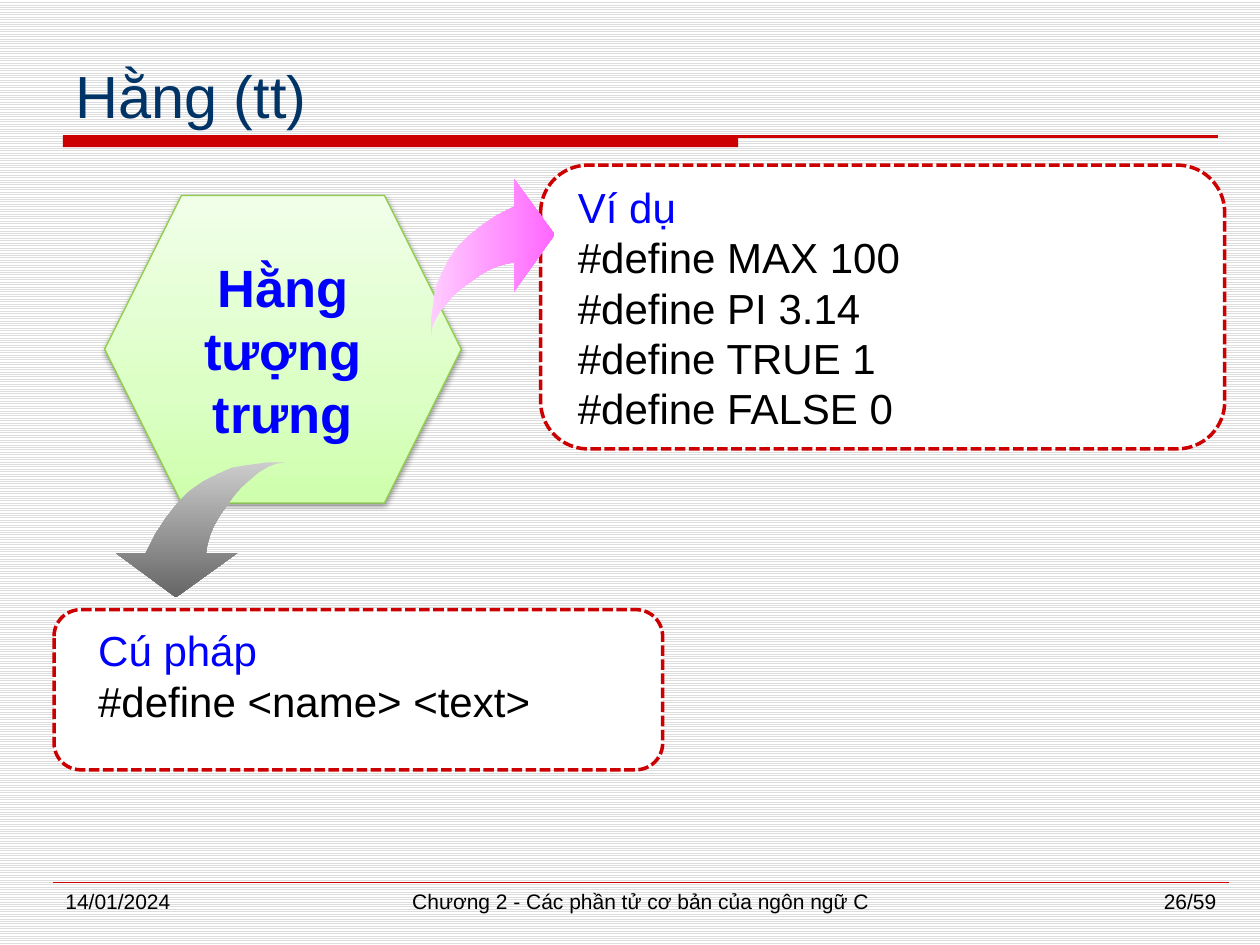
from lxml import etree
from pptx import Presentation
from pptx.dml.color import RGBColor
from pptx.enum.dml import MSO_LINE, MSO_PATTERN
from pptx.enum.shapes import MSO_CONNECTOR, MSO_SHAPE
from pptx.enum.text import MSO_ANCHOR, PP_ALIGN
from pptx.oxml.ns import qn
from pptx.util import Cm, Pt

LEFT, CENTER, RIGHT = PP_ALIGN.LEFT, PP_ALIGN.CENTER, PP_ALIGN.RIGHT
TOP, MIDDLE, BOTTOM = MSO_ANCHOR.TOP, MSO_ANCHOR.MIDDLE, MSO_ANCHOR.BOTTOM
HEXAGON, ROUNDED, RECTANGLE = (
    MSO_SHAPE.HEXAGON, MSO_SHAPE.ROUNDED_RECTANGLE, MSO_SHAPE.RECTANGLE)
STRAIGHT = MSO_CONNECTOR.STRAIGHT

COLORS = {
    "paper": "FFFFFF", "stripe": "DDDDDD", "red": "CC0000", "navy": "003366",
    "blue": "0000FF", "black": "000000", "green line": "8FCF4B",
}
GREEN = [(0, "CEFFAC"), (35, "DBFFC4"), (100, "F1FFE9")]
PINK = [(0, "FFCCFF"), (100, "FF66FF")]
GRAY = [(0, "CCCCCC"), (100, "666666")]

TITLE = {"size": Pt(34), "name": "Arial"}
LABEL = {"size": Pt(30), "name": "Arial", "bold": True}
BODY = {"size": Pt(24), "name": "Arial"}
SMALL = {"size": Pt(12), "name": "Arial"}

# Curved arrow outline: steps from the tail towards the tip, and sideways
ARROW = [
    (0, 0), (0, 14), (2, 28), (4, 40), (9, 51), (14, 61), (21, 71), (30, 80),
    (40, 88), (52, 96), (66, 103), (66, 125), (98, 81), (66, 36), (66, 59),
    (60, 58), (53, 56), (46, 53), (39, 49), (32, 44), (25, 39), (18, 33),
    (12, 26), (7, 20), (3, 13), (1, 7),
]
ARROW_LENGTH, ARROW_SPREAD = 98, 125


def color(name):
    return RGBColor.from_string(COLORS[name])


def write(frame, lines, style, align=LEFT, anchor=TOP):
    """Fill a text frame with (text, colour) lines."""
    frame.word_wrap = True
    frame.vertical_anchor = anchor
    for index, (text, tint) in enumerate(lines):
        para = frame.add_paragraph() if index else frame.paragraphs[0]
        para.alignment = align
        span = para.add_run()
        span.text = text
        for key, value in style.items():
            setattr(span.font, key, value)
        span.font.color.rgb = color(tint)


def add_text(page, box, lines, style, align=LEFT, anchor=TOP):
    frame = page.shapes.add_textbox(*map(Cm, box)).text_frame
    write(frame, lines, style, align, anchor)


def add_rule(page, left, right, y, width):
    rule = page.shapes.add_connector(
        STRAIGHT, Cm(left), Cm(y), Cm(right), Cm(y))
    rule.line.color.rgb = color("red")
    rule.line.width = Pt(width)
    etree.SubElement(rule._element.spPr, qn("a:effectLst"))


def add_gradient(shape, stops, angle):
    shape.fill.gradient()
    shape.fill.gradient_angle = angle
    stop_list = shape._element.spPr.find(".//" + qn("a:gsLst"))
    for old in list(stop_list):
        stop_list.remove(old)
    for place, tint in stops:
        stop = etree.SubElement(stop_list, qn("a:gs"), pos=str(place * 1000))
        etree.SubElement(stop, qn("a:srgbClr"), val=tint)


def add_background(page):
    fill = page.background.fill
    fill.patterned()
    fill.pattern = MSO_PATTERN.LIGHT_HORIZONTAL
    fill.fore_color.rgb = color("stripe")
    fill.back_color.rgb = color("paper")


def add_header(page, box, title):
    left, top, width, height = box
    bottom = top + height
    # Thick bar under a thin full-width rule
    bar = page.shapes.add_shape(
        RECTANGLE, Cm(left), Cm(bottom), Cm(13.61), Cm(0.22))
    bar.shadow.inherit = False
    bar.fill.solid()
    bar.fill.fore_color.rgb = color("red")
    bar.line.fill.background()
    add_rule(page, left, left + width, bottom, 1.5)
    add_text(page, box, [(title, "navy")], TITLE, anchor=BOTTOM)


def add_footer(page, box, date, chapter, number):
    left, top, width, height = box
    add_rule(page, left, left + width, top, 0.25)
    side, middle = 5.5, 11
    parts = [
        (left, side, date, LEFT),
        (left + (width - middle) / 2, middle, chapter, CENTER),
        (left + width - side, side, number, RIGHT),
    ]
    for x, part_width, text, align in parts:
        add_text(page, (x, top, part_width, height),
                 [(text, "black")], SMALL, align)


def add_topic(page, box, lines):
    topic = page.shapes.add_shape(HEXAGON, *map(Cm, box))
    add_gradient(topic, GREEN, 90)
    topic.line.color.rgb = color("green line")
    topic.line.width = Pt(0.75)
    # Soft shadow straight below
    topic.shadow.inherit = False
    effects = topic._element.spPr.find(qn("a:effectLst"))
    shadow = etree.SubElement(
        effects, qn("a:outerShdw"), blurRad="40000", dist="20000",
        dir="5400000", rotWithShape="0")
    tint = etree.SubElement(shadow, qn("a:srgbClr"), val=COLORS["black"])
    etree.SubElement(tint, qn("a:alpha"), val="38000")
    write(topic.text_frame, [(line, "blue") for line in lines],
          LABEL, CENTER, MIDDLE)


def add_card(page, box, inset, heading, code):
    """Dashed card; inset is the text's left, top, width and height in it."""
    card = page.shapes.add_shape(ROUNDED, *map(Cm, box))
    card.adjustments[0] = 0.167
    card.shadow.inherit = False
    card.fill.solid()
    card.fill.fore_color.rgb = color("paper")
    card.line.color.rgb = color("red")
    card.line.width = Pt(2)
    card.line.dash_style = MSO_LINE.SQUARE_DOT
    x, y, width, height = inset
    lines = [(heading, "blue")] + [(line, "black") for line in code]
    add_text(page, (box[0] + x, box[1] + y, width, height), lines, BODY)


def add_arrow(page, box, stops, downward=False):
    """Curved arrow with its tip to the right, or pointing downward."""
    left, top, width, height = box
    points = []
    for along, across in ARROW:
        u, v = along / ARROW_LENGTH, 1 - across / ARROW_SPREAD
        if downward:
            u, v = v, u
        points.append((Cm(left + u * width), Cm(top + v * height)))
    builder = page.shapes.build_freeform(*points[0])
    builder.add_line_segments(points[1:], close=True)
    arrow = builder.convert_to_shape()
    arrow.shadow.inherit = False
    add_gradient(arrow, stops, 270 if downward else 0)
    arrow.line.fill.background()


def main():
    deck = Presentation()
    deck.slide_width, deck.slide_height = Cm(25.4), Cm(19.05)
    page = deck.slides.add_slide(deck.slide_layouts[6])

    add_background(page)
    add_header(page, (1.27, 0.84, 23.29, 1.91), "Hằng (tt)")
    add_topic(page, (2.11, 3.94, 7.19, 6.2), ["Hằng", "tượng trưng"])
    add_card(page, (10.9, 3.33, 13.79, 5.72), (0.5, 0.2, 13.13, 5.4), "Ví dụ",
             ["#define MAX 100", "#define PI 3.14",
              "#define TRUE 1", "#define FALSE 0"])
    add_arrow(page, (2.34, 9.32, 3.43, 2.72), GRAY, downward=True)
    add_card(page, (1.09, 12.29, 12.27, 3.23), (0.64, 0.18, 11.63, 2.31),
             "Cú pháp", ["#define <name> <text>"])
    add_arrow(page, (8.69, 3.61, 2.49, 3.18), PINK)
    add_footer(page, (1.07, 17.78, 23.7, 0.89), "14/01/2024",
               "Chương 2 - Các phần tử cơ bản của ngôn ngữ C", "26/59")

    deck.save("out.pptx")


if __name__ == "__main__":
    main()
